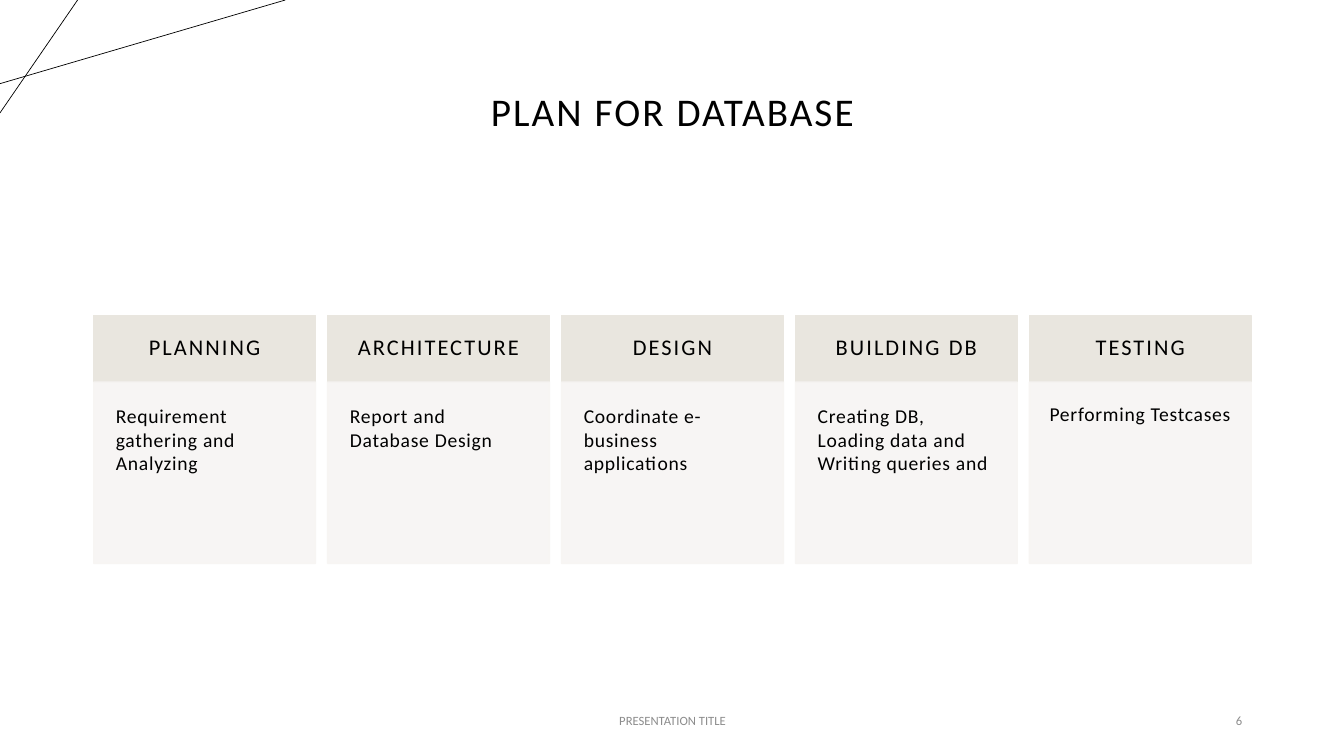
from lxml.etree import SubElement
from pptx import Presentation
from pptx.dml.color import RGBColor
from pptx.enum.shapes import MSO_CONNECTOR, MSO_SHAPE
from pptx.enum.text import MSO_ANCHOR as Anchor, PP_ALIGN as Align
from pptx.oxml.ns import qn
from pptx.util import Inches, Pt

BLACK = RGBColor(0x00, 0x00, 0x00)
WHITE = RGBColor(0xFF, 0xFF, 0xFF)
GRAY = RGBColor(0x8C, 0x8C, 0x8C)
SAND = RGBColor(0xE9, 0xE6, 0xDF)
CREAM = RGBColor(0xF7, 0xF5, 0xF3)

PHASES = [
    ("PLANNING", "Requirement gathering and Analyzing", 0.22),
    ("ARCHITECTURE", "Report and Database Design", 0.22),
    ("DESIGN", "Coordinate e-business applications", 0.22),
    ("BUILDING DB", "Creating DB, Loading data and Writing queries and", 0.22),
    ("TESTING", "Performing Testcases", 0.2),
]
CARD_LEFT, CARD_TOP, CARD_STEP = 0.93, 3.13, 2.32
CARD_WIDTH, HEADER_HEIGHT, BODY_HEIGHT = 2.2, 0.66, 1.8


class SlideBuilder:
    font = "Calibri"

    def __init__(self, slide):
        self.slide = slide
        slide.background.fill.solid()
        slide.background.fill.fore_color.rgb = WHITE

    def line(self, start, end):
        connector = self.slide.shapes.add_connector(
            MSO_CONNECTOR.STRAIGHT, *map(Inches, start + end))
        connector.line.color.rgb = BLACK
        connector.line.width = Pt(0.5)
        SubElement(connector.element.spPr, qn("a:effectLst"))

    def set_text(self, shape, text, size, align, anchor=Anchor.MIDDLE, color=BLACK,
                 tracking=0, line_spacing=1.0, inset=None):
        frame = shape.text_frame
        frame.text = text
        frame.word_wrap = True
        frame.vertical_anchor = anchor
        if inset is not None:
            frame.margin_left = frame.margin_right = Inches(inset)
            frame.margin_top = frame.margin_bottom = Inches(inset)
        para = frame.paragraphs[0]
        para.alignment = align
        para.line_spacing = line_spacing
        span = para.runs[0]
        span.font.name = self.font
        span.font.size = Pt(size)
        span.font.color.rgb = color
        if tracking:
            span.font._element.set("spc", str(int(tracking * 100)))

    def label(self, bounds, text, size, align, **style):
        box = self.slide.shapes.add_textbox(*map(Inches, bounds))
        self.set_text(box, text, size, align, **style)

    def panel(self, bounds, color, text, size, align, opacity=100, **style):
        panel = self.slide.shapes.add_shape(MSO_SHAPE.RECTANGLE, *map(Inches, bounds))
        panel.shadow.inherit = False
        panel.fill.solid()
        panel.fill.fore_color.rgb = color
        panel.line.color.rgb = color
        panel.line.width = Pt(1)
        if opacity < 100:
            for tint in panel.element.spPr.iter(qn("a:srgbClr")):
                SubElement(tint, qn("a:alpha")).set("val", str(opacity * 1000))
        self.set_text(panel, text, size, align, **style)

    def card(self, left, heading, detail, inset):
        self.panel((left, CARD_TOP, CARD_WIDTH, HEADER_HEIGHT), SAND, heading, 16,
                   Align.CENTER, tracking=1.5, line_spacing=0.9, inset=0.17)
        self.panel((left, CARD_TOP + HEADER_HEIGHT, CARD_WIDTH, BODY_HEIGHT), CREAM,
                   detail, 14, Align.LEFT, opacity=90, anchor=Anchor.TOP,
                   tracking=0.5, inset=inset)


def main():
    deck = Presentation()
    deck.slide_width, deck.slide_height = Inches(13.33), Inches(7.5)
    page = SlideBuilder(deck.slides.add_slide(deck.slide_layouts[6]))

    page.line((0, 0.83), (2.83, 0))
    page.line((0.77, 0), (0, 1.12))
    page.label((0.92, 0.4, 11.5, 1.45), "PLAN FOR DATABASE", 28, Align.CENTER,
               tracking=1.5, line_spacing=0.9)
    for index, (heading, detail, inset) in enumerate(PHASES):
        page.card(CARD_LEFT + index * CARD_STEP, heading, detail, inset)
    page.label((4.42, 6.95, 4.5, 0.4), "PRESENTATION TITLE", 9, Align.CENTER, color=GRAY)
    page.label((9.42, 6.95, 3, 0.4), "6", 9, Align.RIGHT, color=GRAY)

    deck.save("out.pptx")


if __name__ == "__main__":
    main()
